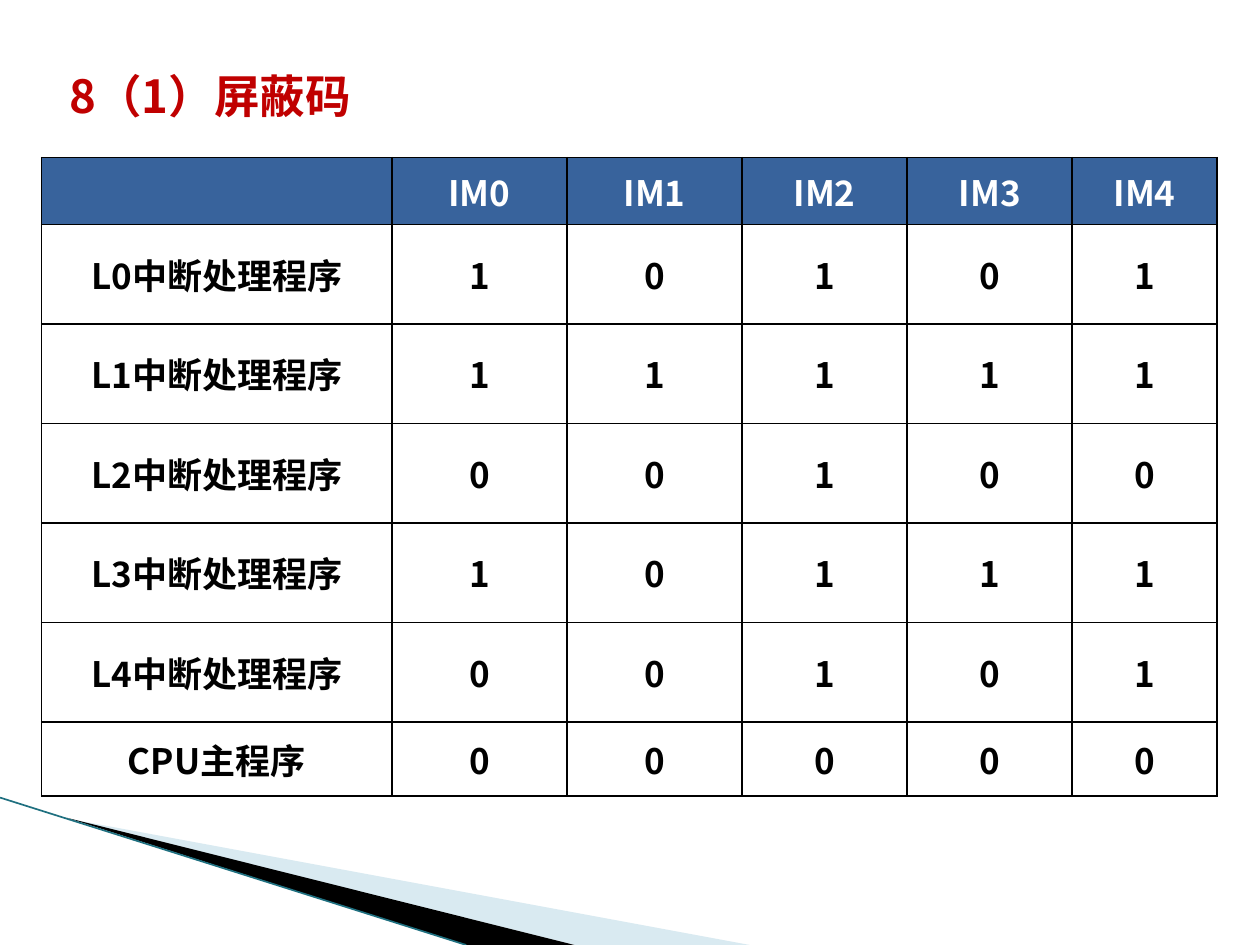
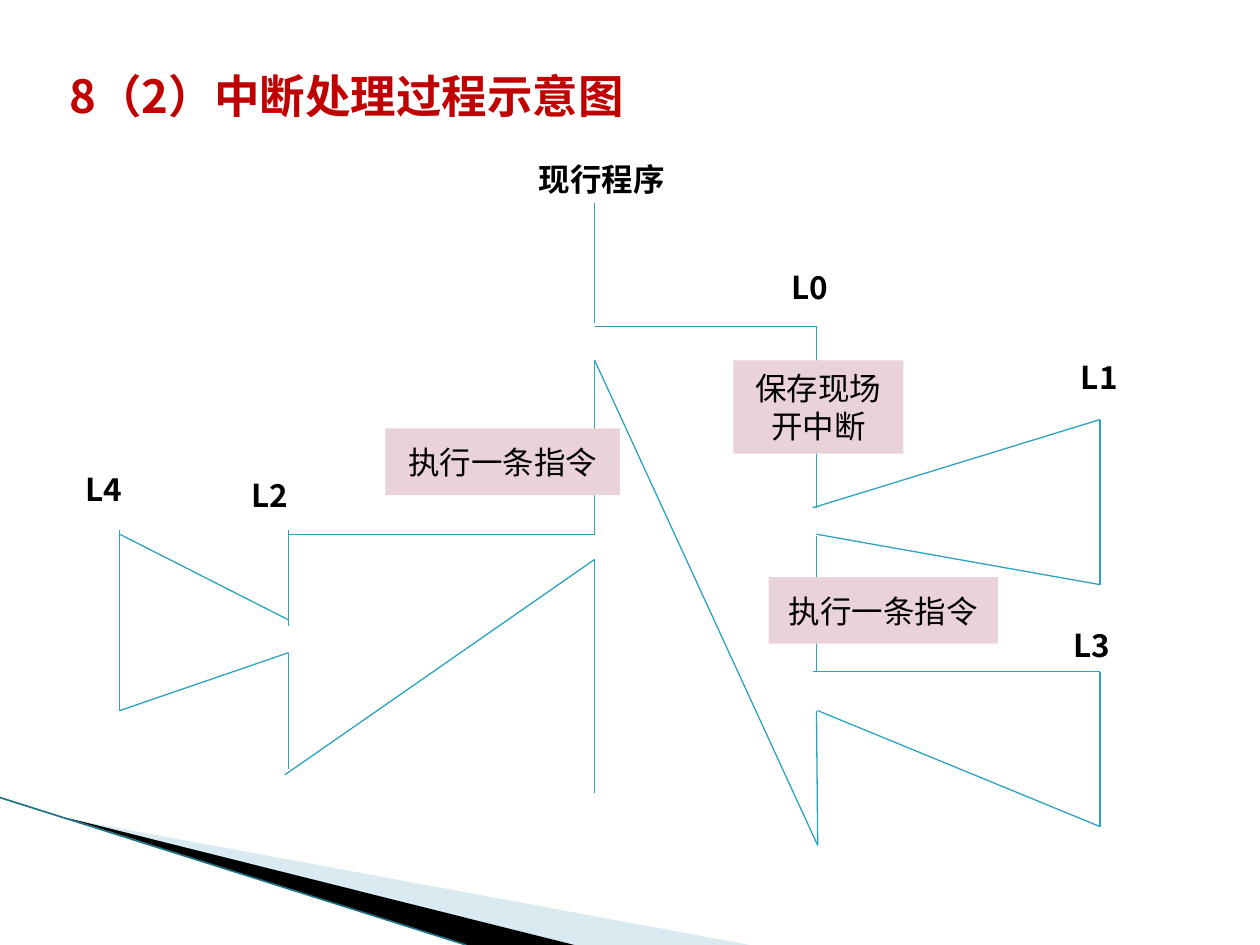
import lxml.etree
import pptx
import pptx.dml.color
import pptx.enum.shapes
import pptx.enum.text
import pptx.oxml.ns
import pptx.util

PIXEL = 9144
FONT = "Noto Sans CJK SC"
COLORS = {
    "title": "C00000",
    "text": "000000",
    "white": "FFFFFF",
    "header": "38639C",
    "line": "2DA2BF",
    "note": "EAD3D8",
    "pale_band": "A0CBDC",
    "dark_band": "000000",
    "band_edge": "1F7080",
}
ALIGN = pptx.enum.text.PP_ALIGN
ANCHOR = pptx.enum.text.MSO_ANCHOR


def px(*lengths):
    return [length * PIXEL for length in lengths]


def rgb(name):
    return pptx.dml.color.RGBColor.from_string(COLORS[name])


def add_element(parent, tag, **attributes):
    element = lxml.etree.SubElement(parent, pptx.oxml.ns.qn(tag))
    for key, value in attributes.items():
        element.set(key, str(value))
    return element


def write_text(frame, text, size=18, color="text", bold=False, align=ALIGN.LEFT,
               spacing=None, indent=None):
    frame.word_wrap = True
    frame.text = text
    for paragraph in frame.paragraphs:
        paragraph.alignment = align
        if spacing:
            paragraph.line_spacing = spacing
        if indent:
            properties = paragraph._p.get_or_add_pPr()
            properties.set("marL", str(indent * PIXEL))
            properties.set("indent", "0")
        for run in paragraph.runs:
            run.font.name = FONT
            run.font.size = pptx.util.Pt(size)
            run.font.bold = bold
            run.font.color.rgb = rgb(color)
            add_element(run.font._element, "a:ea", typeface=FONT)


class Deck:
    def __init__(self):
        self.presentation = pptx.Presentation()
        self.presentation.slide_width, self.presentation.slide_height = px(1000, 750)
        self.slide = None

    def new_slide(self, title):
        layout = self.presentation.slide_layouts[5]
        self.slide = self.presentation.slides.add_slide(layout)
        self.band([(55, 650), (595, 750), (456, 750)], "pale_band", opacity=40)
        self.band([(53, 649), (456, 750), (370, 750)], "dark_band")
        self.line((0, 633), (370, 750), color="band_edge", width=0.95)
        shape = self.slide.shapes.title
        shape.left, shape.top, shape.width, shape.height = px(33, 8, 550, 92)
        shape.text_frame.auto_size = pptx.enum.text.MSO_AUTO_SIZE.NONE
        shape.text_frame.vertical_anchor = ANCHOR.MIDDLE
        write_text(shape.text_frame, title, size=26, color="title", bold=True,
                   spacing=2.0, indent=12)

    def band(self, points, color, opacity=100):
        builder = self.slide.shapes.build_freeform(*points[0], scale=PIXEL)
        builder.add_line_segments(points[1:], close=True)
        shape = builder.convert_to_shape()
        self.fill(shape, color)
        if opacity < 100:
            color_element = shape._element.spPr.find(".//" + pptx.oxml.ns.qn("a:srgbClr"))
            add_element(color_element, "a:alpha", val=opacity * 1000)

    def fill(self, shape, color):
        shape.shadow.inherit = False
        shape.fill.solid()
        shape.fill.fore_color.rgb = rgb(color)
        shape.line.fill.background()

    def line(self, start, end, color="line", width=0.75):
        connector = self.slide.shapes.add_connector(
            pptx.enum.shapes.MSO_CONNECTOR.STRAIGHT, *px(*start, *end))
        connector.line.color.rgb = rgb(color)
        connector.line.width = pptx.util.Pt(width)
        add_element(connector._element.spPr, "a:effectLst")

    def label(self, text, left, top, width=73, height=40, align=ALIGN.LEFT):
        shape = self.slide.shapes.add_textbox(*px(left, top, width, height))
        write_text(shape.text_frame, text, bold=True, align=align)

    def note(self, text, left, top, width, height):
        shape = self.slide.shapes.add_shape(
            pptx.enum.shapes.MSO_SHAPE.RECTANGLE, *px(left, top, width, height))
        self.fill(shape, "note")
        shape.text_frame.vertical_anchor = ANCHOR.MIDDLE
        write_text(shape.text_frame, text, align=ALIGN.CENTER)

    def table(self, rows, left, top, widths, heights):
        frame = self.slide.shapes.add_table(
            len(rows), len(widths), *px(left, top, sum(widths), sum(heights)))
        table = frame.table
        for column, width in zip(table.columns, px(*widths)):
            column.width = width
        for row, height in zip(table.rows, px(*heights)):
            row.height = height
        for row_index, values in enumerate(rows):
            for column_index, value in enumerate(values):
                self.cell(table.cell(row_index, column_index), value, row_index == 0)

    def cell(self, cell, value, is_header):
        cell.vertical_anchor = ANCHOR.MIDDLE
        cell.margin_top = cell.margin_bottom = 0
        write_text(cell.text_frame, value, size=20, bold=True, align=ALIGN.CENTER,
                   color="white" if is_header else "text")
        properties = cell._tc.get_or_add_tcPr()
        for side in ("a:lnL", "a:lnR", "a:lnT", "a:lnB"):
            border = add_element(properties, side, w=pptx.util.Pt(1))
            solid = add_element(border, "a:solidFill")
            add_element(solid, "a:srgbClr", val=COLORS["text"])
        cell.fill.solid()
        cell.fill.fore_color.rgb = rgb("header" if is_header else "white")


def mask_code_slide(deck):
    deck.new_slide("8（1）屏蔽码")
    masks = ["10101", "11111", "00100", "10111", "00101"]
    rows = [["", *(f"IM{level}" for level in range(5))]]
    rows += [[f"L{level}中断处理程序", *mask] for level, mask in enumerate(masks)]
    rows.append(["CPU主程序", *"00000"])
    deck.table(rows, 33, 125, [278, 139, 139, 131, 131, 115], [53] + [79] * 5 + [59])


def interrupt_process_slide(deck):
    deck.new_slide("8（2）中断处理过程示意图")
    main, level_0, level_2, level_4, right = 472, 648, 229, 95, 873
    routes = [
        [(main, 161), (main, 256)],
        [(main, 259), (level_0, 259), (level_0, 403)],
        [(645, 403), (right, 333), (right, 464), (level_0, 424)],
        [(level_0, 425), (level_0, 533)],
        [(645, 533), (right, 533), (right, 656), (649, 564)],
        [(level_0, 564), (649, 671), (main, 286), (main, 424), (level_2, 424)],
        [(level_2, 421), (level_2, 497)],
        [(level_2, 492), (level_4, 424)],
        [(level_4, 421), (level_4, 564), (level_2, 518), (level_2, 610)],
        [(226, 615), (main, 444), (main, 629)],
    ]
    for route in routes:
        for start, end in zip(route, route[1:]):
            deck.line(start, end)
    deck.label("L0", 618, 208)
    deck.label("L1", 836, 279, align=ALIGN.CENTER)
    deck.label("L3", 842, 492)
    deck.label("L4", 58, 368)
    deck.label("L2", 190, 373)
    deck.note("保存现场\n开中断", 582, 286, 135, 74)
    deck.note("执行一条指令", 610, 458, 182, 53)
    deck.note("执行一条指令", 306, 340, 186, 53)
    deck.label("现行程序", 371, 122, 213, 53, align=ALIGN.CENTER)


def main():
    deck = Deck()
    mask_code_slide(deck)
    interrupt_process_slide(deck)
    deck.presentation.save("out.pptx")


if __name__ == "__main__":
    main()
